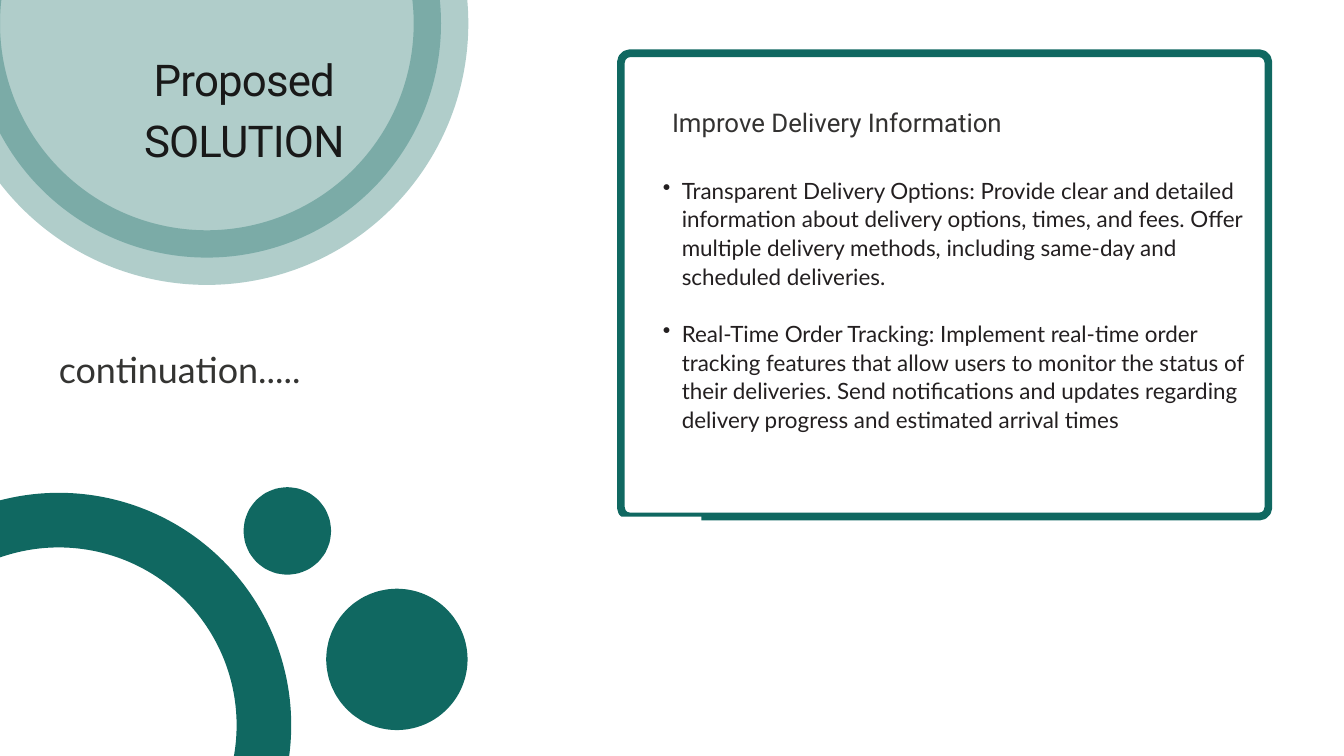
from lxml.etree import SubElement
from pptx import Presentation
from pptx.dml.color import RGBColor
from pptx.enum.shapes import MSO_SHAPE as Shape
from pptx.enum.text import PP_ALIGN as Align
from pptx.oxml.ns import qn
from pptx.util import Pt

PX = 9525
TEAL, WHITE = "106861", "FFFFFF"
RING_WIDTH, CARD_BORDER = 58.5, 8.25

TITLE = dict(name="Roboto", size=Pt(46.9), color="191919", leading=65.7, align=Align.CENTER, tracking=-90)
SUBTITLE = dict(name="Lato", size=Pt(38.5), color="343432", leading=57.8)
HEADING = dict(name="Roboto", size=Pt(27.6), color="333231", leading=35.3)
BODY = dict(name="Lato", size=Pt(24), color="231F20", leading=30.7, gap=30.7, bullet="•")

POINTS = [
    "Transparent Delivery Options: Provide clear and detailed information about delivery options, "
    "times, and fees. Offer multiple delivery methods, including same-day and scheduled deliveries.",
    "Real-Time Order Tracking: Implement real-time order tracking features that allow users to "
    "monitor the status of their deliveries. Send notifications and updates regarding delivery "
    "progress and estimated arrival times",
]


def paint(color_format, color):
    """Set a colour from a hex string."""
    color_format.rgb = RGBColor.from_string(color)


def add_shape(page, kind, box, fill=None, line=None, width=0, alpha=None):
    """Place a preset shape with an optional fill, outline and opacity in percent."""
    shape = page.shapes.add_shape(kind, *(n * PX for n in box))
    shape.shadow.inherit = False
    if fill:
        shape.fill.solid()
        paint(shape.fill.fore_color, fill)
    else:
        shape.fill.background()
    if line:
        paint(shape.line.color, line)
        shape.line.width = Pt(width)
    else:
        shape.line.fill.background()
    if alpha:
        for color in shape._element.spPr.iter(qn("a:srgbClr")):
            SubElement(color, qn("a:alpha"), val=str(alpha * 1000))
    return shape


def add_bullet(para, mark):
    """Give a paragraph a hanging bullet."""
    para.level = 1
    props = para._p.get_or_add_pPr()
    props.set("marL", str(55 * PX))
    props.set("indent", str(-27 * PX))
    SubElement(props, qn("a:buChar"), char=mark)


def add_text(page, box, lines, style):
    """Place a text box without margins, one paragraph for each line."""
    frame = page.shapes.add_textbox(*(n * PX for n in box)).text_frame
    frame.word_wrap = True
    for side in ("left", "top", "right", "bottom"):
        setattr(frame, f"margin_{side}", 0)
    for index, line in enumerate(lines):
        para = frame.paragraphs[0] if index == 0 else frame.add_paragraph()
        if "bullet" in style:
            add_bullet(para, style["bullet"])
        para.alignment = style.get("align", Align.LEFT)
        para.line_spacing = Pt(style["leading"])
        if index and "gap" in style:
            para.space_before = Pt(style["gap"])
        span = para.add_run()
        span.text = line
        for key in ("name", "size"):
            setattr(span.font, key, style[key])
        paint(span.font.color, style["color"])
        if "tracking" in style:
            span._r.get_or_add_rPr().set("spc", str(style["tracking"]))


def add_circle(page, x, y, size, fill=TEAL, alpha=None):
    """Place a circle with the thick teal outline."""
    add_shape(page, Shape.OVAL, (x, y, size, size), fill, TEAL, RING_WIDTH, alpha)


def add_title_panel(page, left, top):
    """Draw the title over its pale circle, with the subtitle below."""
    add_circle(page, left - 39, top - 301, 669, alpha=33)
    add_text(page, (left + 31, top + 63, 636, 171), ["Proposed", "SOLUTION"], TITLE)
    add_text(page, (left + 84, top + 481, 766, 125), ["continuation....."], SUBTITLE)


def add_corner_circles(page, left, top):
    """Draw the open ring and the two solid dots."""
    add_circle(page, left - 209, top + 8, 586, fill=None)
    add_circle(page, left + 387, top, 47)
    add_circle(page, left + 505, top + 145, 124)


def add_card(page, left, top, width, height):
    """Draw the bordered card with its notch, heading and bullets."""
    card = add_shape(page, Shape.ROUNDED_RECTANGLE, (left, top, width, height), WHITE, TEAL, CARD_BORDER)
    card.adjustments[0] = 13 / height
    add_shape(page, Shape.RECTANGLE, (left - 14, top + height, 129, 129), WHITE)
    add_text(page, (left + 32, top + 174, 863, 458), POINTS, BODY)
    add_text(page, (left + 73, top + 74, 612, 47), ["Improve Delivery Information"], HEADING)


def main():
    """Build the slide and save it."""
    deck = Presentation()
    deck.slide_width, deck.slide_height = 1920 * PX, 1080 * PX
    page = deck.slides.add_slide(deck.slide_layouts[6])
    add_corner_circles(page, 0, 735)
    add_title_panel(page, 0, 0)
    add_card(page, 887, 76, 925, 662)
    deck.save("out.pptx")


if __name__ == "__main__":
    main()
